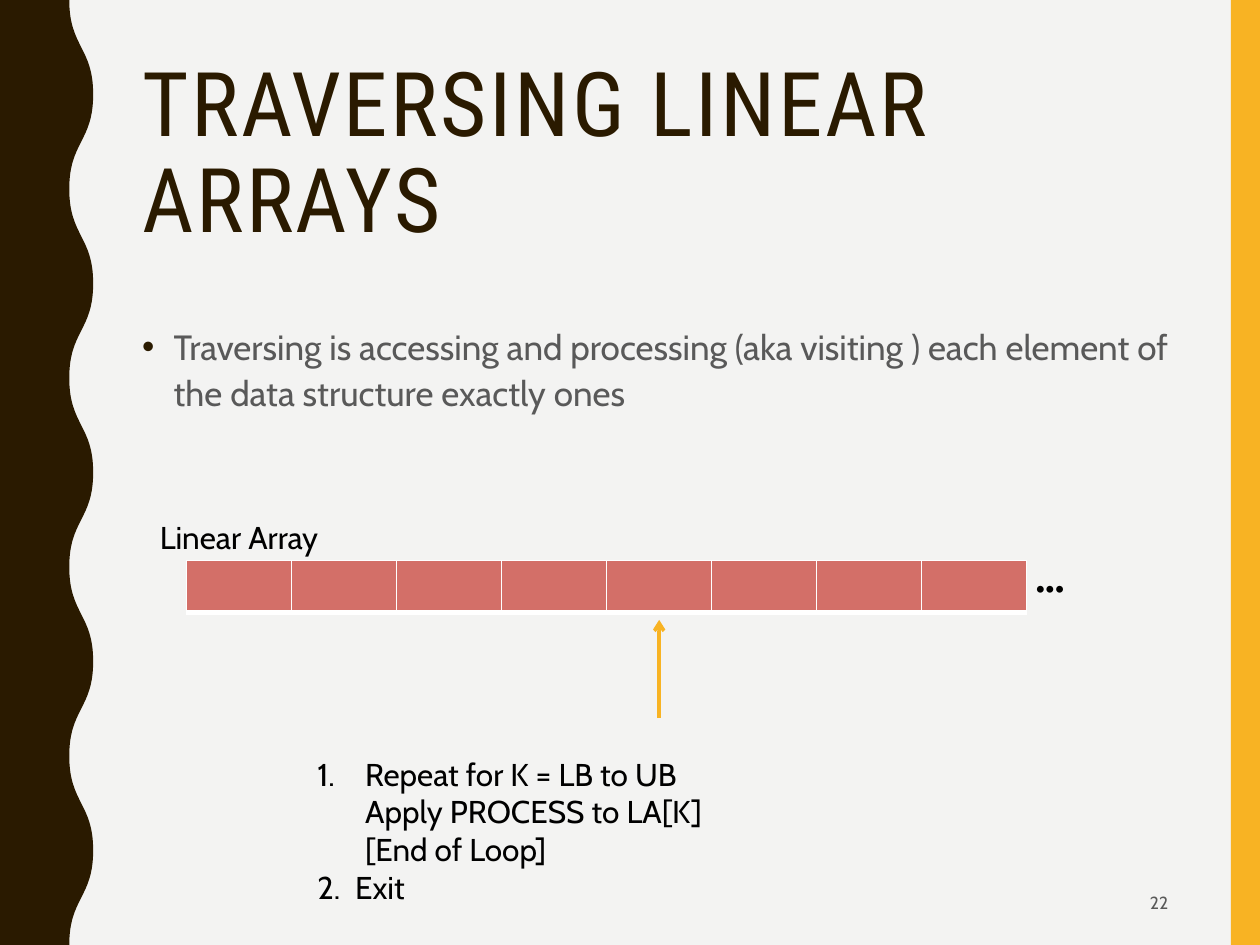
from dataclasses import dataclass

from lxml.etree import SubElement
from pptx import Presentation
from pptx.dml.color import RGBColor
from pptx.enum.shapes import MSO_CONNECTOR, MSO_SHAPE
from pptx.enum.text import MSO_ANCHOR, PP_ALIGN
from pptx.oxml.ns import qn
from pptx.util import Inches, Pt


@dataclass(frozen=True)
class Theme:
    """Colours, fonts and type sizes of the slide."""
    paper: str = "F3F3F2"
    dark: str = "2A1A00"
    accent: str = "F8B323"
    cell: str = "D36F68"
    border: str = "FFFFFF"
    muted: str = "595959"
    ink: str = "000000"
    heading_font: str = "Roboto Condensed"
    text_font: str = "Cabin"
    title_size: int = 51
    body_size: int = 20
    label_size: int = 18
    number_size: int = 10


@dataclass(frozen=True)
class Box:
    """A region in inches."""
    left: float
    top: float
    width: float
    height: float

    def lengths(self):
        """Return the region as slide lengths."""
        return [Inches(value) for value in (self.left, self.top, self.width, self.height)]


THEME = Theme()


def paint(shape, colour):
    """Give a shape a flat fill without line or shadow."""
    shape.shadow.inherit = False
    shape.fill.solid()
    shape.fill.fore_color.rgb = RGBColor.from_string(colour)
    shape.line.fill.background()


def add_frame(page, box, anchor=MSO_ANCHOR.TOP):
    """Add a wrapping text box and return its text frame."""
    frame = page.shapes.add_textbox(*box.lengths()).text_frame
    frame.word_wrap = True
    frame.vertical_anchor = anchor
    return frame


def add_span(para, text, size, colour=THEME.ink, font=THEME.text_font):
    """Add one formatted run to a paragraph."""
    span = para.add_run()
    span.text = text
    span.font.size = Pt(size)
    span.font.name = font
    span.font.color.rgb = RGBColor.from_string(colour)
    return span


def set_indent(para, margin, first):
    """Set the left margin and first-line indent and return the properties."""
    properties = para._p.get_or_add_pPr()
    properties.set("marL", str(Inches(margin)))
    properties.set("indent", str(Inches(first)))
    return properties


def bend(segment, start, end):
    """Turn a straight outline segment into an S-curve with upright ends."""
    segment.tag = qn("a:cubicBezTo")
    segment.remove(segment[0])
    middle = (start[1] + end[1]) // 2
    for x, y in ((start[0], middle), (end[0], middle), end):
        SubElement(segment, qn("a:pt"), x=str(x), y=str(y))


def add_wave(page, box, trough=0.55, half=0.75):
    """Draw the dark side band with its wavy right edge."""
    left, top, _, height = box.lengths()
    knots = [(Inches(box.left + (box.width if index % 2 else trough)),
              Inches(box.top + half * index))
             for index in range(round(box.height / half) + 1)]
    builder = page.shapes.build_freeform(*knots[0])
    builder.add_line_segments([*knots[1:], (left, top + height), (left, top)])
    wave = builder.convert_to_shape()
    paint(wave, THEME.dark)
    local = [(x - left, y - top) for x, y in knots]
    segments = list(wave._element.iter(qn("a:lnTo")))
    for segment, start, end in zip(segments, local, local[1:]):
        bend(segment, start, end)


def add_stripe(page, box):
    """Draw the accent stripe."""
    paint(page.shapes.add_shape(MSO_SHAPE.RECTANGLE, *box.lengths()), THEME.accent)


def add_title(page, box):
    """Place the slide title."""
    para = add_frame(page, box).paragraphs[0]
    para.line_spacing = 0.9
    span = add_span(para, "TRAVERSING LINEAR ARRAYS", THEME.title_size,
                    THEME.dark, THEME.heading_font)
    span._r.get_or_add_rPr().set("spc", "150")


def add_definition(page, box):
    """Place the bulleted definition."""
    para = add_frame(page, box).paragraphs[0]
    para.line_spacing = 1.1
    para.space_before = Pt(7)
    properties = set_indent(para, 0.25, -0.25)
    colour = SubElement(properties, qn("a:buClr"))
    SubElement(colour, qn("a:srgbClr"), val=THEME.dark)
    SubElement(properties, qn("a:buFont"), typeface="Arial")
    SubElement(properties, qn("a:buChar"), char="•")
    add_span(para, "Traversing is accessing and processing (aka visiting ) each element of "
             "the data structure exactly ones", THEME.body_size, THEME.muted)


def add_page_number(page, box):
    """Place the page number."""
    para = add_frame(page, box, MSO_ANCHOR.MIDDLE).paragraphs[0]
    para.alignment = PP_ALIGN.RIGHT
    add_span(para, "22", THEME.number_size, THEME.muted)


def style_cell(cell):
    """Fill a cell and draw its borders."""
    properties = cell._tc.get_or_add_tcPr()
    for side, width in (("L", 1), ("R", 1), ("T", 1), ("B", 3)):
        line = SubElement(properties, qn(f"a:ln{side}"), w=str(Pt(width)))
        fill = SubElement(line, qn("a:solidFill"))
        SubElement(fill, qn("a:srgbClr"), val=THEME.border)
    cell.fill.solid()
    cell.fill.fore_color.rgb = RGBColor.from_string(THEME.cell)


def add_pointer(page, x, bottom, top):
    """Draw the upward arrow at the visited element."""
    arrow = page.shapes.add_connector(MSO_CONNECTOR.STRAIGHT, Inches(x), Inches(bottom),
                                      Inches(x), Inches(top))
    arrow.line.color.rgb = RGBColor.from_string(THEME.accent)
    arrow.line.width = Pt(2)
    SubElement(arrow.line._get_or_add_ln(), qn("a:tailEnd"), type="arrow")
    SubElement(arrow._element.spPr, qn("a:effectLst"))


def add_array(page, box, count=8, visited=4):
    """Place the labelled array, its continuation dots and the pointer."""
    table = page.shapes.add_table(1, count, *box.lengths()).table
    table.first_row = False
    table.horz_banding = False
    for cell in table.iter_cells():
        style_cell(cell)
    dots = Box(box.left + box.width - 0.03, box.top, 1.88, 0.4)
    add_span(add_frame(page, dots).paragraphs[0], "•••", THEME.label_size)
    x = box.left + box.width / count * (visited + 0.5)
    add_pointer(page, x, box.top + 1.25, box.top + 0.47)
    label = Box(box.left - 0.31, box.top - 0.39, 2.03, 0.4)
    add_span(add_frame(page, label).paragraphs[0], "Linear Array", THEME.label_size)


def add_algorithm(page, box):
    """Place the numbered steps of the traversal."""
    steps = (("Repeat for K = LB to UB", 0.38),
             ("\tApply PROCESS to LA[K]", 0.38),
             ("\t[End of Loop]", 0.38),
             ("2.\tExit", 0.3))
    frame = add_frame(page, box)
    for index, (text, margin) in enumerate(steps):
        para = frame.add_paragraph() if index else frame.paragraphs[0]
        properties = set_indent(para, margin, -margin)
        if index == 0:
            SubElement(properties, qn("a:buFont"), typeface=THEME.text_font)
            SubElement(properties, qn("a:buAutoNum"), type="arabicPeriod")
        add_span(para, text, THEME.label_size)


def main():
    """Build and save the slide."""
    deck = Presentation()
    deck.slide_width, deck.slide_height = Inches(10), Inches(7.5)
    page = deck.slides.add_slide(deck.slide_layouts[6])
    page.background.fill.solid()
    page.background.fill.fore_color.rgb = RGBColor.from_string(THEME.paper)
    add_stripe(page, Box(9.77, 0, 0.23, 7.5))
    add_wave(page, Box(0, 0, 0.74, 7.5))
    add_title(page, Box(1.03, 0.42, 8.35, 1.63))
    add_definition(page, Box(1.03, 2.5, 8.35, 3.93))
    add_page_number(page, Box(7.06, 6.97, 2.31, 0.38))
    add_array(page, Box(1.48, 4.45, 6.67, 0.41))
    add_algorithm(page, Box(2.42, 5.94, 4.53, 1.31))
    deck.save("out.pptx")


if __name__ == "__main__":
    main()
